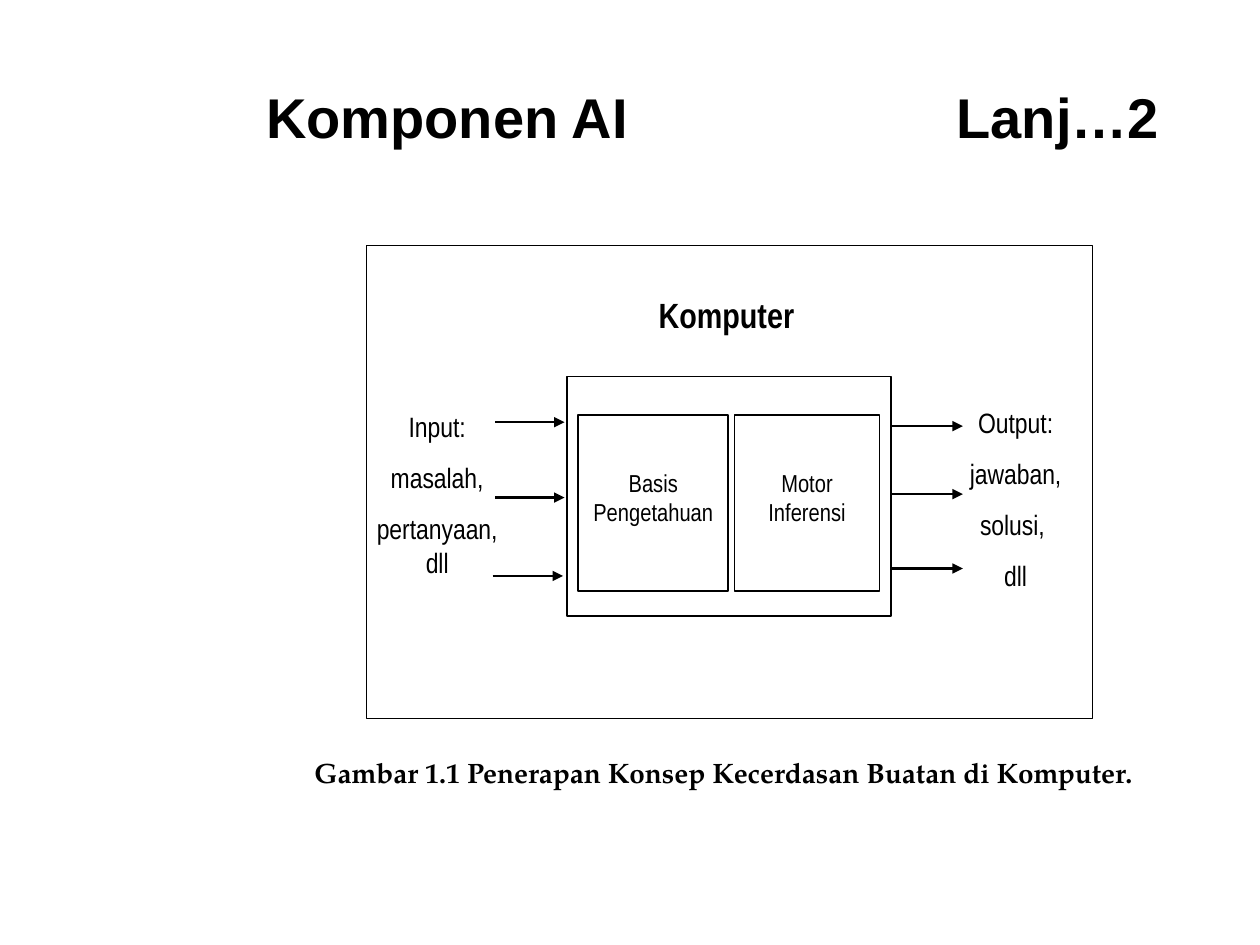
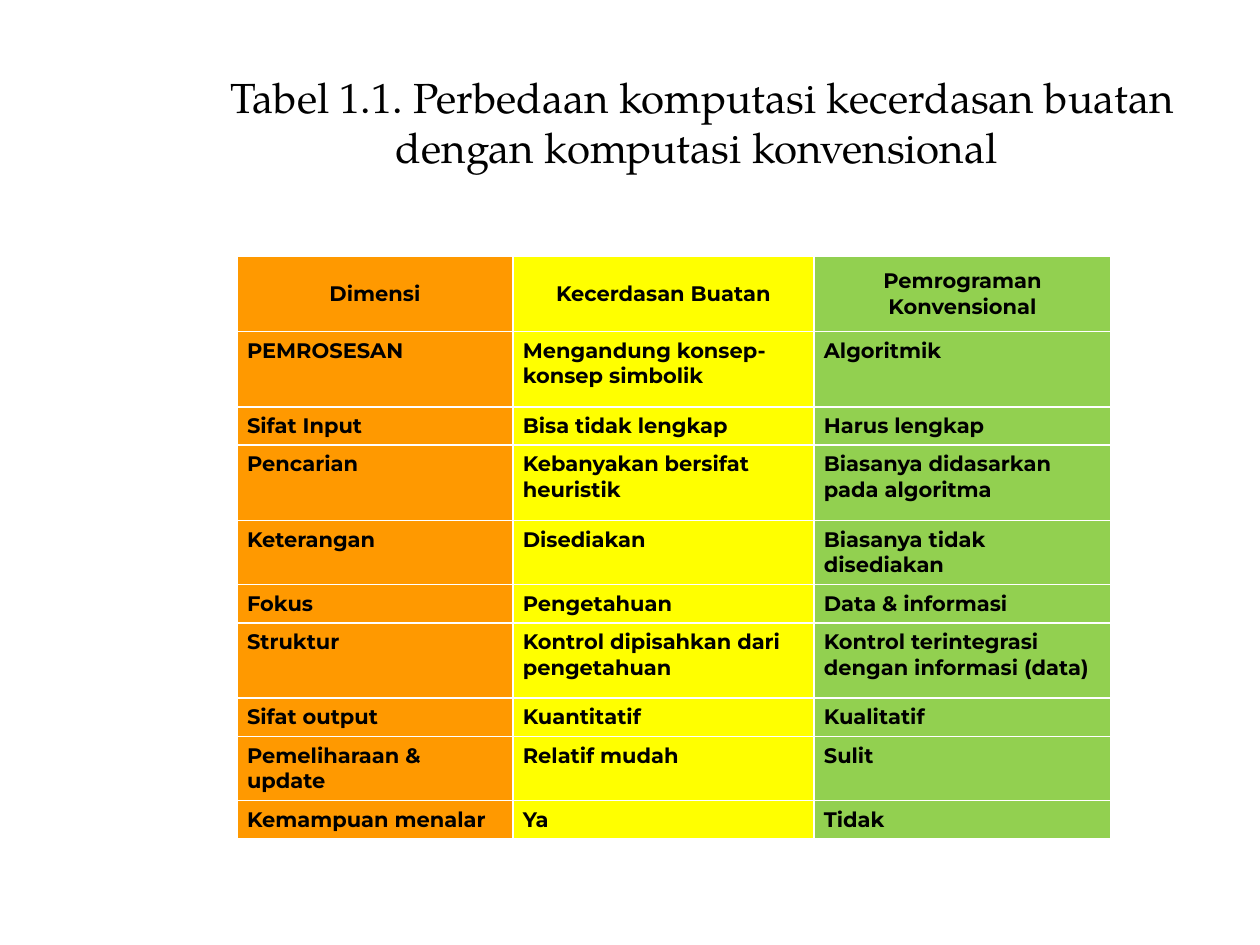
from lxml.etree import SubElement
from pptx import Presentation
from pptx.dml.color import RGBColor
from pptx.enum.shapes import MSO_CONNECTOR, MSO_SHAPE
from pptx.enum.text import MSO_ANCHOR, PP_ALIGN
from pptx.oxml import parse_xml
from pptx.oxml.ns import nsdecls, qn
from pptx.util import Cm, Pt

# Shared colours and fonts
BLACK = RGBColor(0x00, 0x00, 0x00)
ORANGE = RGBColor(0xFF, 0x99, 0x00)
YELLOW = RGBColor(0xFF, 0xFF, 0x00)
GREEN = RGBColor(0x92, 0xD0, 0x50)
WHITE = RGBColor(0xFF, 0xFF, 0xFF)
HEADING_FONT = "Arial"
DIAGRAM_FONT = "Arial Narrow"
BOOK_FONT = "TeX Gyre Pagella"
TABLE_FONT = "Montserrat"

TITLE_ONLY = 5
COLUMN_FILLS = [ORANGE, YELLOW, GREEN]
COLUMN_WIDTHS = [5.56, 6.07, 5.99]
COMPARISON = [  # row height in cm, then the three cells
    (1.52, "Dimensi", "Kecerdasan Buatan", "Pemrograman Konvensional"),
    (1.52, "PEMROSESAN", "Mengandung konsep-konsep simbolik", "Algoritmik"),
    (0.76, "Sifat Input", "Bisa tidak lengkap", "Harus lengkap"),
    (1.52, "Pencarian", "Kebanyakan bersifat heuristik",
     "Biasanya didasarkan pada algoritma"),
    (1.02, "Keterangan", "Disediakan", "Biasanya tidak disediakan"),
    (0.76, "Fokus", "Pengetahuan", "Data & informasi"),
    (1.52, "Struktur", "Kontrol dipisahkan dari pengetahuan",
     "Kontrol terintegrasi dengan informasi (data)"),
    (0.76, "Sifat output", "Kuantitatif", "Kualitatif"),
    (1.24, "Pemeliharaan & update", "Relatif mudah", "Sulit"),
    (0.76, "Kemampuan menalar", "Ya", "Tidak"),
]


def write(frame, lines, font, size, bold=False, align=PP_ALIGN.CENTER, after=0):
    """Fill a text frame with one paragraph per line."""
    for index, line in enumerate(lines):
        paragraph = frame.add_paragraph() if index else frame.paragraphs[0]
        paragraph.alignment = align
        paragraph.space_after = Pt(after)
        run = paragraph.add_run()
        run.text = line
        run.font.name = font
        run.font.size = Pt(size)
        run.font.bold = bold
        run.font.color.rgb = BLACK


def add_titled_slide(deck, text, area, font, size, **style):
    slide = deck.slides.add_slide(deck.slide_layouts[TITLE_ONLY])
    title = slide.shapes.title
    title.left, title.top, title.width, title.height = map(Cm, area)
    title.text_frame.vertical_anchor = MSO_ANCHOR.MIDDLE
    write(title.text_frame, [text], font, size, **style)
    return slide


def add_frame(slide, area, width=1):
    frame = slide.shapes.add_shape(MSO_SHAPE.RECTANGLE, *map(Cm, area))
    frame.shadow.inherit = False
    frame.fill.background()
    frame.line.color.rgb = BLACK
    frame.line.width = Pt(width)
    return frame


def add_module(slide, area, text):
    module = add_frame(slide, area).text_frame
    module.word_wrap = True
    module.vertical_anchor = MSO_ANCHOR.TOP
    module.margin_top = Cm(1.07)
    write(module, [text], DIAGRAM_FONT, 14, after=10)


def add_label(slide, area, lines, size, bold=False, margin_top=0.13):
    label = slide.shapes.add_textbox(*map(Cm, area)).text_frame
    label.word_wrap = True
    label.margin_top = Cm(margin_top)
    write(label, lines, DIAGRAM_FONT, size, bold, after=10)


def add_arrow(slide, start, end, y):
    arrow = slide.shapes.add_connector(
        MSO_CONNECTOR.STRAIGHT, Cm(start), Cm(y), Cm(end), Cm(y))
    arrow.line.color.rgb = BLACK
    arrow.line.width = Pt(1.5)
    SubElement(arrow.line._get_or_add_ln(), qn("a:tailEnd"), type="triangle")
    SubElement(arrow._element.spPr, qn("a:effectLst"))


def add_caption(slide, area, text):
    caption = slide.shapes.add_textbox(*map(Cm, area)).text_frame
    caption.word_wrap = False
    caption.vertical_anchor = MSO_ANCHOR.MIDDLE
    write(caption, [text], BOOK_FONT, 16, bold=True)


def set_borders(cell, color, width):
    properties = cell._tc.get_or_add_tcPr()
    for index, side in enumerate(("lnL", "lnR", "lnT", "lnB")):
        properties.insert(index, parse_xml(
            f'<a:{side} {nsdecls("a")} w="{Pt(width)}"><a:solidFill>'
            f'<a:srgbClr val="{color}"/></a:solidFill></a:{side}>'))


def add_comparison_table(slide, left, top):
    heights = [height for height, *_ in COMPARISON]
    table = slide.shapes.add_table(
        len(heights), len(COLUMN_WIDTHS), Cm(left), Cm(top),
        Cm(sum(COLUMN_WIDTHS)), Cm(sum(heights))).table
    table.first_row = table.horz_banding = False
    for column, width in zip(table.columns, COLUMN_WIDTHS):
        column.width = Cm(width)
    for r, (height, *texts) in enumerate(COMPARISON):
        table.rows[r].height = Cm(height)
        header = r == 0
        for c, (text, fill) in enumerate(zip(texts, COLUMN_FILLS)):
            cell = table.cell(r, c)
            cell.fill.solid()
            cell.fill.fore_color.rgb = fill
            set_borders(cell, WHITE, 1.08)
            cell.margin_left = cell.margin_right = Cm(0.2)
            cell.vertical_anchor = MSO_ANCHOR.MIDDLE if header else MSO_ANCHOR.TOP
            write(cell.text_frame, [text], TABLE_FONT, 12, bold=True,
                  align=PP_ALIGN.CENTER if header else PP_ALIGN.LEFT)


def build_components_slide(deck):
    slide = add_titled_slide(deck, "Komponen AI\tLanj…2", (5.11, 0.76, 19.02, 3.18),
                             HEADING_FONT, 32, bold=True, align=PP_ALIGN.LEFT)
    # Tab stop that places the continuation mark
    title_properties = slide.shapes.title.text_frame.paragraphs[0]._p.get_or_add_pPr()
    stops = SubElement(title_properties, qn("a:tabLst"))
    SubElement(stops, qn("a:tab"), pos=str(Cm(13.92)), algn="l")

    # Computer with its two modules
    add_frame(slide, (7.39, 4.95, 14.63, 9.53), width=0.5)
    add_frame(slide, (11.43, 7.59, 6.53, 4.83))
    add_label(slide, (12.37, 5.79, 4.55, 2.64), ["Komputer"], 20, bold=True)
    add_module(slide, (11.66, 8.36, 3.02, 3.56), "Basis Pengetahuan")
    add_module(slide, (14.81, 8.36, 2.92, 3.56), "Motor Inferensi")

    # Input and output
    add_label(slide, (7.34, 8.13, 2.95, 4.57),
              ["Input:", "masalah,", "pertanyaan, dll"], 16)
    add_label(slide, (18.72, 7.04, 3.51, 5.66),
              ["Output:", "jawaban,", "solusi, ", "dll"], 16, margin_top=1.13)
    for start, end, y in [(9.98, 11.38, 8.51), (9.98, 11.38, 10.03),
                          (9.93, 11.35, 11.61), (17.96, 19.41, 8.59),
                          (17.98, 19.41, 9.96), (17.96, 19.41, 11.46)]:
        add_arrow(slide, start, end, y)

    add_caption(slide, (5.18, 15.09, 18.82, 0.94),
                "Gambar 1.1 Penerapan Konsep Kecerdasan Buatan di Komputer.")


def build_comparison_slide(deck):
    slide = add_titled_slide(
        deck,
        "Tabel 1.1. Perbedaan komputasi kecerdasan buatan "
        "dengan komputasi konvensional ",
        (4.17, 1.35, 19.96, 2.21), BOOK_FONT, 24)
    add_comparison_table(slide, 4.78, 5.16)


def main():
    deck = Presentation()
    deck.slide_width, deck.slide_height = Cm(25.4), Cm(19.05)
    build_components_slide(deck)
    build_comparison_slide(deck)
    deck.save("out.pptx")


if __name__ == "__main__":
    main()
